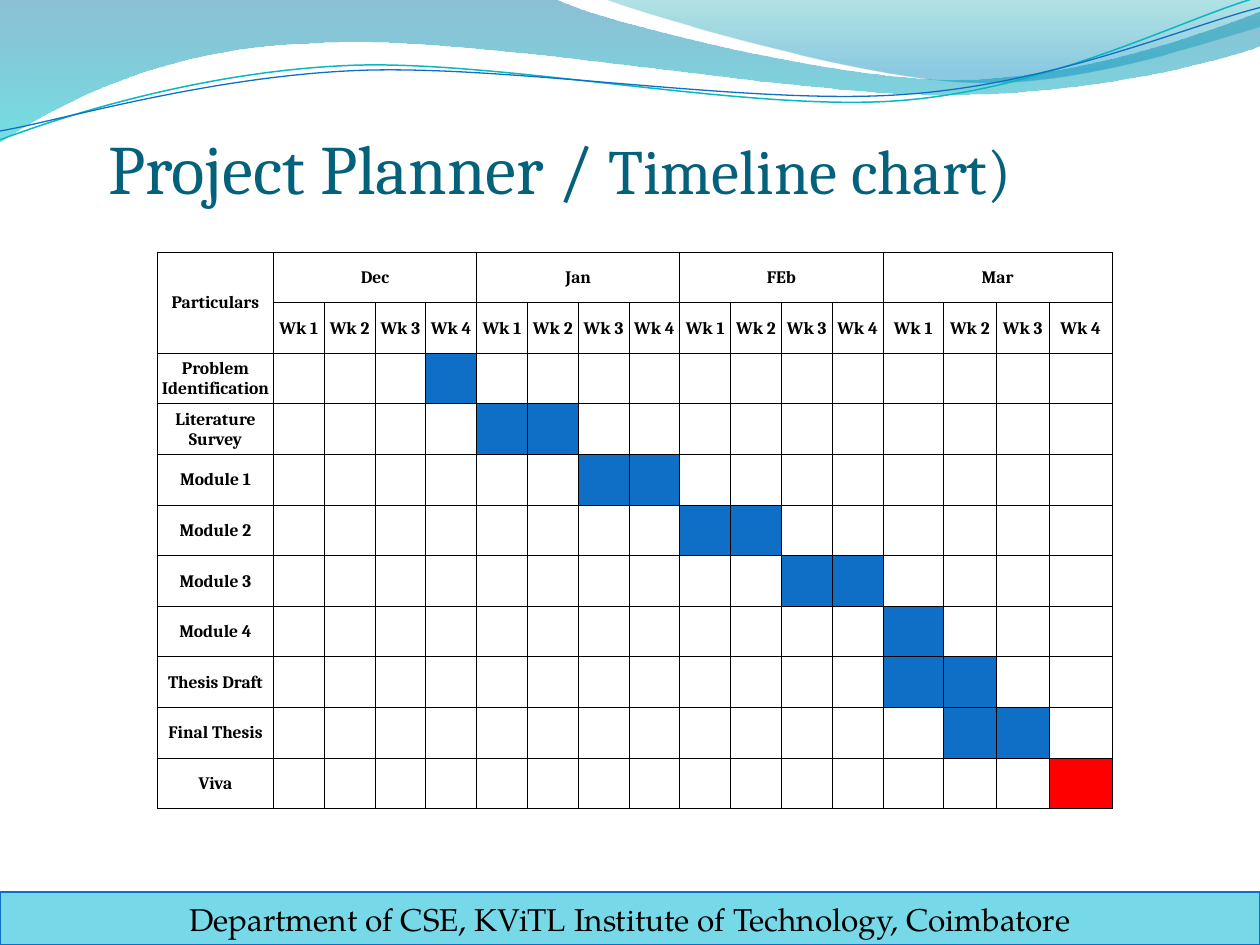
from lxml import etree
from pptx import Presentation
from pptx.dml.color import RGBColor
from pptx.enum.shapes import MSO_SHAPE
from pptx.enum.text import MSO_ANCHOR, PP_ALIGN
from pptx.oxml.ns import qn
from pptx.util import Inches, Pt

RECTANGLE = MSO_SHAPE.RECTANGLE
MIDDLE, BOTTOM = MSO_ANCHOR.MIDDLE, MSO_ANCHOR.BOTTOM
CENTER = PP_ALIGN.CENTER

COLORS = {
    "title": "04617B", "text": "000000", "task": "0F6FC6",
    "viva": "FF0000", "footer": "77D9E8", "teal": "0AB8BF",
    "band_top": "0074A1", "band_bottom": "00C6CF",
    "crest_top": "00A1A9", "crest_bottom": "008BBF",
}
HEAD_FONT, FOOT_FONT = "Cambria", "TeX Gyre Pagella"
MONTHS = ["Dec", "Jan", "FEb", "Mar"]
WEEKS = 4
# task: (first week, last week, colour), weeks counted from 1 across all months
TASKS = {
    "Problem Identification": (4, 4, "task"),
    "Literature Survey": (5, 6, "task"),
    "Module 1": (7, 8, "task"),
    "Module 2": (9, 10, "task"),
    "Module 3": (11, 12, "task"),
    "Module 4": (13, 13, "task"),
    "Thesis Draft": (13, 14, "task"),
    "Final Thesis": (14, 15, "task"),
    "Viva": (16, 16, "viva"),
}
# Each outline is a list of steps: one point is a straight step,
# three points are a cubic curve. Points are relative to the header's corner.
BAND = [
    [(0, 0)], [(4.4, -0.01)],
    [(4.76, 0.17), (6.64, 0.63), (7.58, 0.63)],
    [(8.53, 0.63), (9.58, 0.26), (10, 0.09)],
    [(10.01, 0.36)],
    [(9.83, 0.44), (8.7, 0.76), (7.46, 0.75)],
    [(6.22, 0.75), (3.82, 0.28), (2.57, 0.34)],
    [(1.29, 0.36), (0.46, 0.83), (-0.01, 1.13)],
    [(0, 0)],
]
CREST = [
    [(4.79, -0.01)],
    [(5.09, 0.11), (6.82, 0.62), (7.69, 0.65)],
    [(8.56, 0.69), (9.61, 0.32), (10, 0.21)],
    [(10, 0)], [(4.79, -0.01)],
]
TEAL_LINE = [
    [(0, 1.11)],
    [(0.48, 0.93), (1.58, 0.57), (2.77, 0.52)],
    [(3.95, 0.47), (5.93, 0.89), (7.13, 0.8)],
    [(8.33, 0.71), (9.38, 0.15), (9.98, -0.02)],
]
BLUE_LINE = [
    [(0, 1.04)],
    [(0.47, 0.96), (1.64, 0.61), (2.83, 0.56)],
    [(4.03, 0.51), (5.97, 0.84), (7.17, 0.75)],
    [(8.36, 0.67), (9.41, 0.21), (10, 0.06)],
]


def rgb(name):
    return RGBColor.from_string(COLORS[name])


def style(r, size, font, color, bold=False):
    r.font.size, r.font.name, r.font.bold = Pt(size), font, bold
    r.font.color.rgb = rgb(color)


def add_outline(s, left, top, outline, close):
    """Build the outline from straight steps, then join triples into curves."""
    points = [(left + Inches(x), top + Inches(y)) for step in outline for x, y in step]
    builder = s.shapes.build_freeform(*points[0])
    builder.add_line_segments(points[1:], close=close)
    sp = builder.convert_to_shape()
    sp.shadow.inherit = False
    segments = iter(list(sp.element.iter(qn("a:lnTo"))))
    for step in outline[1:]:
        lines = [next(segments) for _ in step]
        if len(lines) == 3:
            curve = etree.Element(qn("a:cubicBezTo"))
            lines[0].addprevious(curve)
            for line in lines:
                curve.append(line[0])
                line.getparent().remove(line)
    return sp


def add_wave(s, left, top, outline, stops):
    """Filled wave; stops are (position, colour, opacity in percent)."""
    sp = add_outline(s, left, top, outline, True)
    sp.line.fill.background()
    sp.fill.gradient()
    sp.fill.gradient_angle = 270
    for stop, (position, color, _) in zip(sp.fill.gradient_stops, stops):
        stop.position = position
        stop.color.rgb = rgb(color)
    for clr, (_, _, opacity) in zip(sp.element.iter(qn("a:srgbClr")), stops):
        etree.SubElement(clr, qn("a:alpha"), val=str(opacity * 1000))


def add_header(s, left, top):
    add_wave(s, left, top, BAND, [(0, "band_top", 45), (1, "band_bottom", 55)])
    add_wave(s, left, top, CREST, [(0, "crest_top", 30), (0.8, "crest_bottom", 45)])
    for outline, color, width in ((TEAL_LINE, "teal", 0.85), (BLUE_LINE, "task", 0.75)):
        sp = add_outline(s, left, top, outline, False)
        sp.fill.background()
        sp.line.color.rgb = rgb(color)
        sp.line.width = Pt(width)


def add_title(s, left, top, width, height):
    tf = s.shapes.add_textbox(left, top, width, height).text_frame
    tf.word_wrap = True
    tf.vertical_anchor = BOTTOM
    tf.margin_left, tf.margin_top = Inches(0.36), Inches(0.05)
    tf.margin_right = tf.margin_bottom = 0
    for text, size in (("Project Planner / ", 39.6), ("Timeline chart)", 36)):
        r = tf.paragraphs[0].add_run()
        r.text = text
        style(r, size, HEAD_FONT, "title")


def add_footer(s, left, top, width, height):
    sp = s.shapes.add_shape(RECTANGLE, left, top, width, height)
    sp.shadow.inherit = False
    sp.fill.solid()
    sp.fill.fore_color.rgb = rgb("footer")
    sp.line.color.rgb = rgb("task")
    sp.line.width = Pt(0.75)
    tf = sp.text_frame
    tf.text = "Department of CSE, KViTL Institute of Technology, Coimbatore"
    tf.word_wrap = True
    tf.vertical_anchor = MIDDLE
    p = tf.paragraphs[0]
    p.alignment = CENTER
    style(p.runs[0], 18, FOOT_FONT, "text")


def format_cell(cell):
    cell.margin_left = cell.margin_right = cell.margin_top = Inches(0.01)
    cell.margin_bottom = 0
    cell.vertical_anchor = MIDDLE
    tc_pr = cell._tc.get_or_add_tcPr()
    for side in ("lnL", "lnR", "lnT", "lnB"):
        ln = etree.SubElement(tc_pr, qn(f"a:{side}"), w=str(Pt(0.5)))
        fill = etree.SubElement(ln, qn("a:solidFill"))
        etree.SubElement(fill, qn("a:srgbClr"), val=COLORS["text"])
    cell.fill.background()


def set_label(cell, text):
    cell.text = text
    p = cell.text_frame.paragraphs[0]
    p.alignment = CENTER
    style(p.runs[0], 10, HEAD_FONT, "text", bold=True)


def add_timeline(s, left, top, width, height):
    n_rows, n_weeks = len(TASKS) + 2, len(MONTHS) * WEEKS
    table = s.shapes.add_table(n_rows, n_weeks + 1, left, top, width, height).table
    table.first_row = table.horz_banding = False
    label_width = Inches(0.92)
    last_month = [Inches(w) for w in (0.48, 0.42, 0.42, 0.5)]
    plain = n_weeks - WEEKS
    week_width = (width - label_width - sum(last_month)) // plain
    for col, w in zip(table.columns, [label_width] + [week_width] * plain + last_month):
        col.width = w
    for row in table.rows:
        row.height = height // n_rows
    for cell in table.iter_cells():
        format_cell(cell)

    table.cell(0, 0).merge(table.cell(1, 0))
    set_label(table.cell(0, 0), "Particulars")
    for m, month in enumerate(MONTHS):
        first = 1 + m * WEEKS
        table.cell(0, first).merge(table.cell(0, first + WEEKS - 1))
        set_label(table.cell(0, first), month)
        for w in range(WEEKS):
            set_label(table.cell(1, first + w), f"Wk {w + 1}")
    for i, (task, (start, end, color)) in enumerate(TASKS.items(), start=2):
        set_label(table.cell(i, 0), task)
        for week in range(start, end + 1):
            fill = table.cell(i, week).fill
            fill.solid()
            fill.fore_color.rgb = rgb(color)


def main():
    prs = Presentation()
    prs.slide_width, prs.slide_height = Inches(10), Inches(7.5)
    s = prs.slides.add_slide(prs.slide_layouts[6])
    add_header(s, 0, 0)
    add_title(s, Inches(0.5), Inches(0.92), Inches(9), Inches(0.73))
    add_footer(s, 0, Inches(7.08), Inches(10), Inches(0.42))
    add_timeline(s, Inches(1.25), Inches(2), Inches(7.58), Inches(4.42))
    prs.save("out.pptx")


if __name__ == "__main__":
    main()
